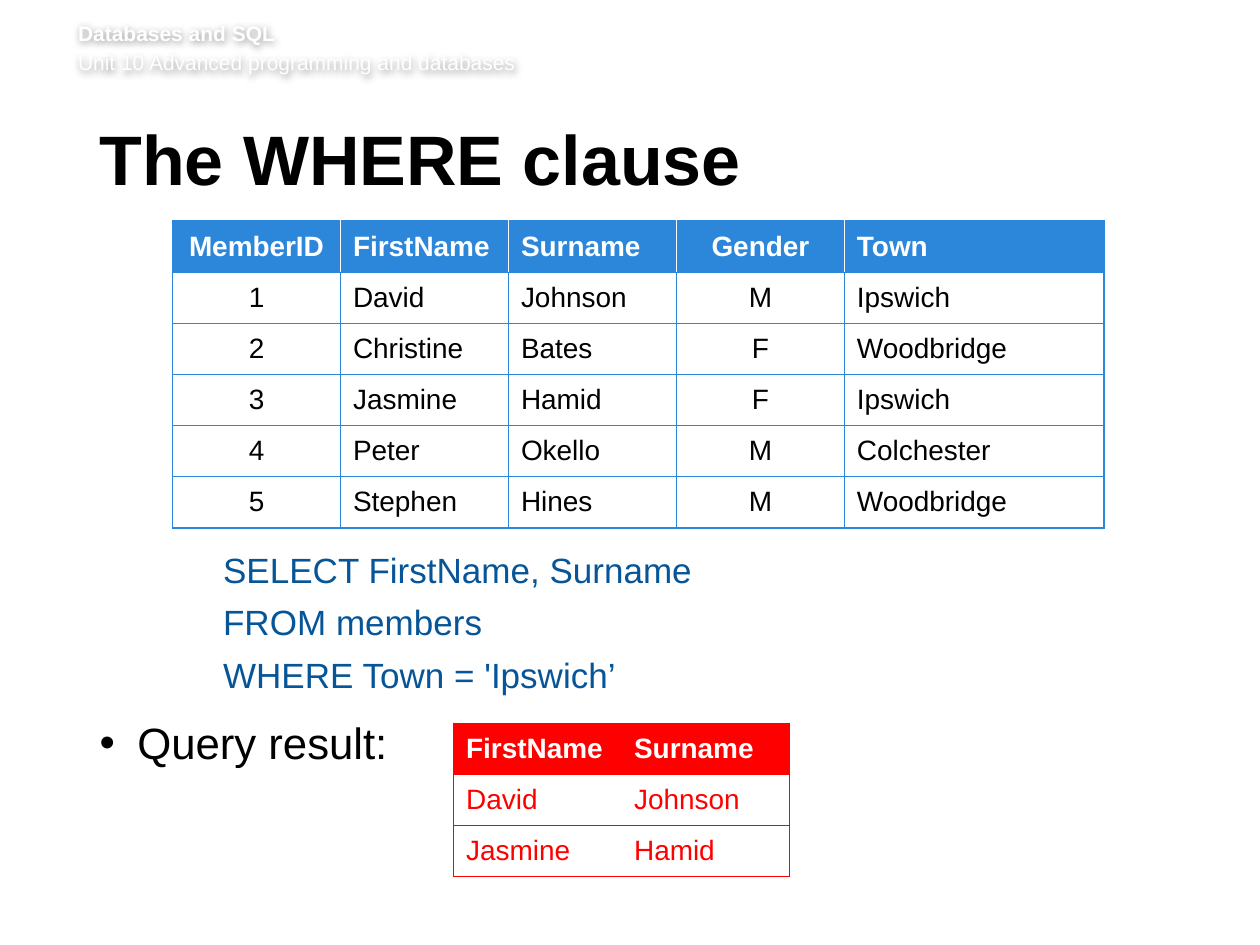
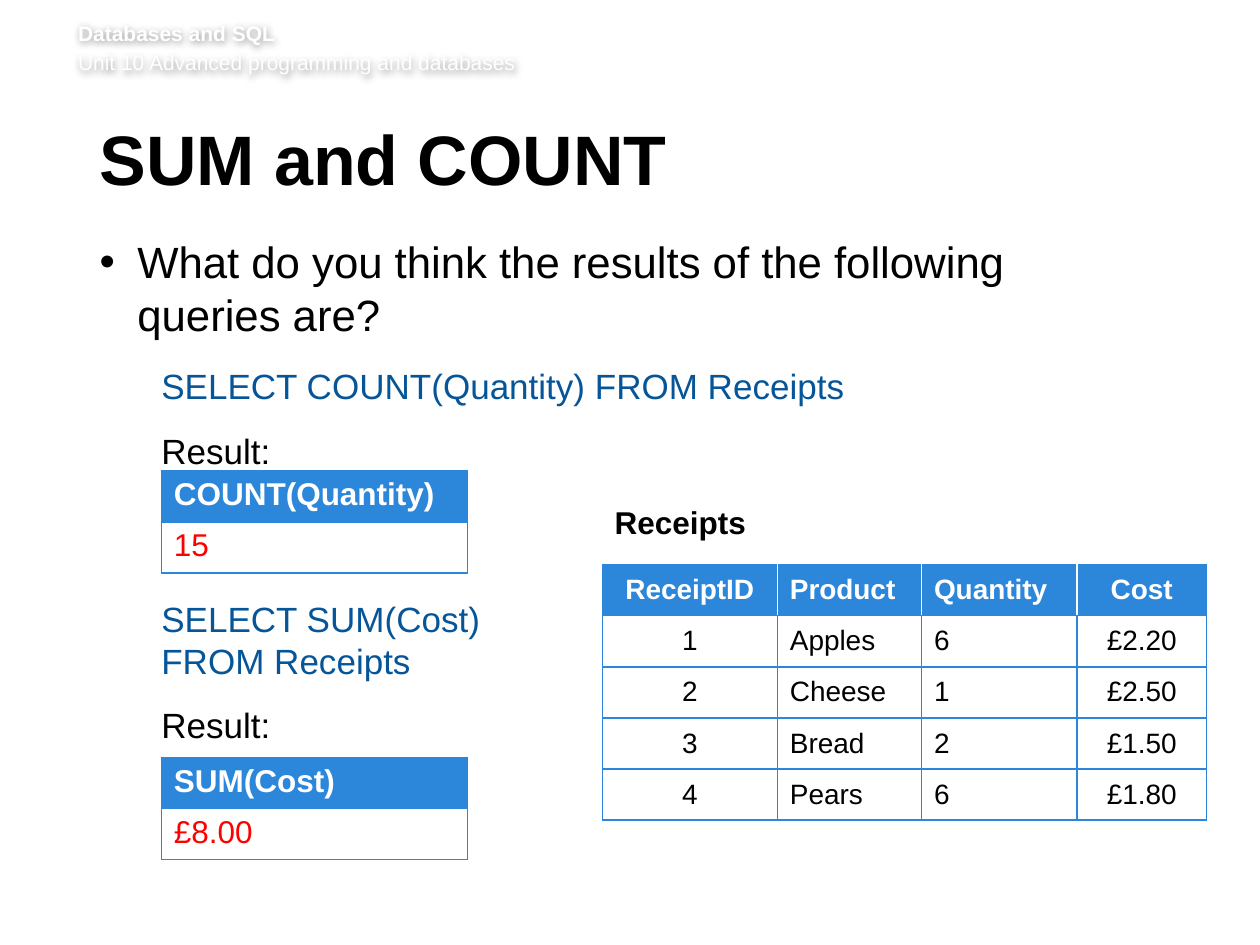
from lxml.etree import SubElement
from pptx import Presentation
from pptx.dml.color import RGBColor
from pptx.enum.text import MSO_ANCHOR, PP_ALIGN
from pptx.oxml.ns import qn
from pptx.util import Pt

# Shared look
FONT = "Arial"
BLACK, WHITE, RED = "000000", "FFFFFF", "FF0000"
BLUE, CODE = "2C87DA", "065598"
LEFT, ROW = 56.9, 29.2
SQL = dict(size=20, color=CODE, line=24)
NOTE = dict(SQL, color=BLACK)
POINT = dict(size=25, line=30, bullet=True)


def paint(target, color):
    """Give a fill or a font a solid colour."""
    if hasattr(target, "solid"):
        target.solid()
        target = target.fore_color
    else:
        target = target.color
    target.rgb = RGBColor.from_string(color)


def write(par, text, size=16, color=BLACK, bold=False, line=None,
          before=0, after=0, indent=0, bullet=False, align=PP_ALIGN.LEFT):
    """Fill one paragraph; a newline in the text is a line break."""
    props = par._p.get_or_add_pPr()
    if bullet:
        props.set("marL", str(Pt(21.6)))
        props.set("indent", str(-Pt(21.6)))
        SubElement(props, qn("a:buFont"), typeface=FONT)
        SubElement(props, qn("a:buChar"), char="•")
    elif indent:
        props.set("marL", str(Pt(indent)))
        props.set("indent", "0")
    par.alignment = align
    par.space_before, par.space_after = Pt(before), Pt(after)
    if line:
        par.line_spacing = Pt(line)
    for num, part in enumerate(text.split("\n")):
        if num:
            par.add_line_break()
        run = par.add_run()
        run.text = part
        run.font.name, run.font.size, run.font.bold = FONT, Pt(size), bold
        paint(run.font, color)


def add_text(slide, box, lines, inset=(0, 0, 7.2, 3.6)):
    """Add a text box; each line is a text and its format."""
    shape = slide.shapes.add_textbox(*map(Pt, box))
    frame = shape.text_frame
    frame.word_wrap = True
    (frame.margin_left, frame.margin_top,
     frame.margin_right, frame.margin_bottom) = map(Pt, inset)
    for num, (text, style) in enumerate(lines):
        par = frame.add_paragraph() if num else frame.paragraphs[0]
        write(par, text, **style)
    return shape


def add_edge(cell, side, color):
    """Draw one cell border, or hide it when there is no colour."""
    edge = SubElement(cell._tc.get_or_add_tcPr(), qn("a:ln" + side),
                      w=str(Pt(1)))
    if color:
        fill = SubElement(edge, qn("a:solidFill"))
        SubElement(fill, qn("a:srgbClr"), val=color)
    else:
        SubElement(edge, qn("a:noFill"))


def add_grid(slide, left, top, widths, rows, centred=(), color=BLUE,
             ink=BLACK, size=16, rules=(WHITE, BLUE),
             anchor=MSO_ANCHOR.MIDDLE):
    """Add a table; rules are the inner upright lines of head and body."""
    grid = slide.shapes.add_table(
        len(rows), len(widths), Pt(left), Pt(top),
        Pt(sum(widths)), Pt(ROW * len(rows))).table
    grid.first_row = grid.horz_banding = False
    for col, width in zip(grid.columns, widths):
        col.width = Pt(width)
    last = len(widths) - 1
    for r, row in enumerate(rows):
        grid.rows[r].height = Pt(ROW)
        head = r == 0
        rule = rules[0] if head else rules[1]
        for c, text in enumerate(row):
            cell = grid.cell(r, c)
            add_edge(cell, "L", rule if c else color)
            add_edge(cell, "R", rule if c < last else color)
            add_edge(cell, "T", color)
            add_edge(cell, "B", color)
            paint(cell.fill, color if head else WHITE)
            cell.vertical_anchor = anchor
            write(cell.text_frame.paragraphs[0], text, size=size, bold=head,
                  color=WHITE if head else ink,
                  align=PP_ALIGN.CENTER if c in centred else PP_ALIGN.LEFT)


def add_page(deck, title):
    """Start a slide with the running header and its title."""
    slide = deck.slides.add_slide(deck.slide_layouts[6])
    head = add_text(slide, (44.6, 11.9, 635, 35), [
        ("Databases and SQL", dict(size=12, color=WHITE, bold=True, line=14)),
        ("Unit 10 Advanced programming and databases",
         dict(size=12, color=WHITE, line=14, before=3)),
    ], inset=(0, 0, 0, 3.6))
    # Soft shadow behind the white header
    glow = SubElement(SubElement(head._element.spPr, qn("a:effectLst")),
                      qn("a:outerShdw"), blurRad=str(Pt(4)),
                      dist=str(Pt(1)), dir="5400000", rotWithShape="0")
    tint = SubElement(glow, qn("a:srgbClr"), val=BLACK)
    SubElement(tint, qn("a:alpha"), val="40000")
    add_text(slide, (LEFT, 71.5, 615.6, 52.6),
             [(title, dict(size=40, bold=True, line=39))],
             inset=(0, 3.6, 7.2, 3.6))
    return slide


def where_page(deck):
    slide = add_page(deck, "The WHERE clause")
    add_text(slide, (LEFT, 313.2, 614, 130), [
        ("SELECT FirstName, Surname", dict(SQL, indent=70.6, after=6)),
        ("FROM members", dict(SQL, indent=70.6, after=6)),
        ("WHERE Town = 'Ipswich’", dict(SQL, indent=70.6, after=12)),
        ("Query result:", POINT),
    ])
    # Query result
    add_grid(slide, 259.2, 413.3, [96, 96], [
        ("FirstName", "Surname"),
        ("David", "Johnson"),
        ("Jasmine", "Hamid"),
    ], color=RED, ink=RED, rules=(None, None))
    # Members
    add_grid(slide, 98.6, 126.4, [96] * 4 + [148.3], [
        ("MemberID", "FirstName", "Surname", "Gender", "Town"),
        ("1", "David", "Johnson", "M", "Ipswich"),
        ("2", "Christine", "Bates", "F", "Woodbridge"),
        ("3", "Jasmine", "Hamid", "F", "Ipswich"),
        ("4", "Peter", "Okello", "M", "Colchester"),
        ("5", "Stephen", "Hines", "M", "Woodbridge"),
    ], centred=(0, 3))


def sum_page(deck):
    slide = add_page(deck, "SUM and COUNT")
    add_text(slide, (LEFT, 134.2, 614, 300), [
        ("What do you think the results of the following \nqueries are?",
         dict(POINT, after=14)),
        ("SELECT COUNT(Quantity) FROM Receipts",
         dict(SQL, indent=35.3, after=13)),
        ("Result:", dict(NOTE, indent=35.3, after=72)),
        ("SELECT SUM(Cost)\nFROM Receipts",
         dict(SQL, indent=35.3, after=13)),
        ("Result:", dict(NOTE, indent=35.3)),
    ])
    # Receipts
    add_grid(slide, 344.2, 322.6, [100, 82.4, 88.8, 74.2], [
        ("ReceiptID", "Product", "Quantity", "Cost"),
        ("1", "Apples", "6", "£2.20"),
        ("2", "Cheese", "1", "£2.50"),
        ("3", "Bread", "2", "£1.50"),
        ("4", "Pears", "6", "£1.80"),
    ], centred=(0, 3))
    add_text(slide, (344.2, 283.7, 196.6, 28.8),
             [("Receipts", dict(size=18, bold=True))],
             inset=(7.2, 3.6, 7.2, 3.6))
    # Answers
    for top, query, value in ((269, "COUNT(Quantity)", "15"),
                              (432.8, "SUM(Cost)", "£8.00")):
        add_grid(slide, 92.2, top, [175], [(query,), (value,)],
                 ink=RED, size=18, anchor=MSO_ANCHOR.TOP)


def main():
    deck = Presentation()
    deck.slide_width, deck.slide_height = Pt(720), Pt(540)
    where_page(deck)
    sum_page(deck)
    deck.save("out.pptx")


if __name__ == "__main__":
    main()
